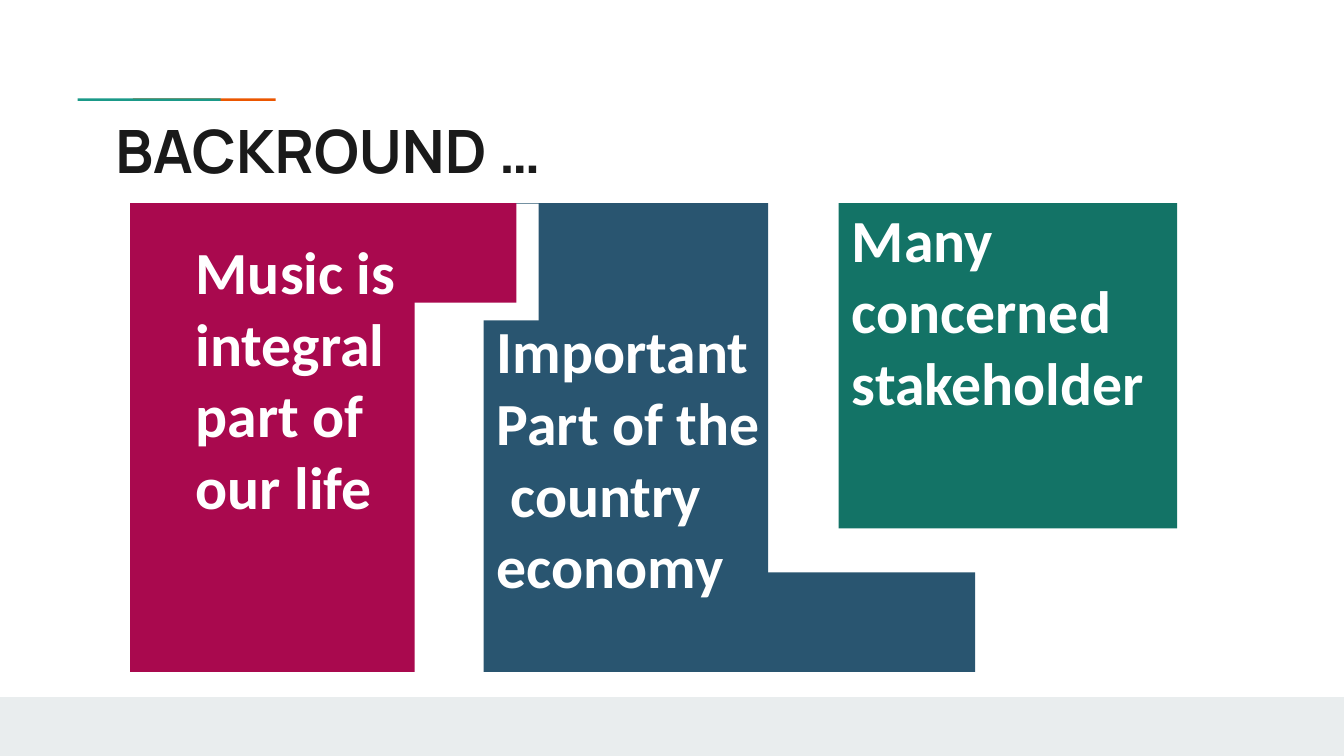
"""Build the music background slide with three coloured panels."""
import pptx
import pptx.dml.color
import pptx.enum.shapes
import pptx.enum.text
import pptx.util

Cm = pptx.util.Cm
RGBColor = pptx.dml.color.RGBColor

WHITE = RGBColor(0xFF, 0xFF, 0xFF)
INK = RGBColor(0x1A, 0x1A, 0x1A)
FOOTER_GREY = RGBColor(0xE9, 0xED, 0xEE)
ORANGE = RGBColor(0xEB, 0x56, 0x00)
TEAL = RGBColor(0x1A, 0x99, 0x88)
BLUE = RGBColor(0x29, 0x55, 0x70)
CRIMSON = RGBColor(0xA9, 0x09, 0x4E)
GREEN = RGBColor(0x13, 0x73, 0x66)

PANEL_TOP = 3.84
PANEL_WIDTH = 5.38
PANEL_HEIGHT = 8.86
ARM_HEIGHT = 1.88

presentation = pptx.Presentation()
presentation.slide_width = Cm(25.4)
presentation.slide_height = Cm(14.29)
slide = presentation.slides.add_slide(presentation.slide_layouts[6])

rectangles = [
    (0, 13.18, 25.4, 1.11, FOOTER_GREY),
    (2.51, 1.86, 2.7, 0.05, ORANGE),
    (1.47, 1.86, 2.7, 0.05, TEAL),
    (9.14, PANEL_TOP, PANEL_WIDTH, PANEL_HEIGHT, BLUE),
    (3.3, 3.85, 6.88, 2.21, WHITE),
    (2.46, PANEL_TOP, PANEL_WIDTH, PANEL_HEIGHT, CRIMSON),
    (11.11, PANEL_TOP + PANEL_HEIGHT - ARM_HEIGHT, 7.32, ARM_HEIGHT, BLUE),
    (15.85, PANEL_TOP, 6.4, 6.15, GREEN),
    (2.88, PANEL_TOP, 6.88, ARM_HEIGHT, CRIMSON),
]
for left, top, width, height, color in rectangles:
    shape = slide.shapes.add_shape(
        pptx.enum.shapes.MSO_SHAPE.RECTANGLE, Cm(left), Cm(top), Cm(width), Cm(height)
    )
    shape.shadow.inherit = False
    shape.fill.solid()
    shape.fill.fore_color.rgb = color
    shape.line.fill.background()

texts = [
    (1.93, 1.9, 9.19, 1.32, "BACKROUND …", "Manrope", INK),
    (9.14, 5.69, 5.56, 5.11, "Important\nPart of the\v country economy", "Calibri", WHITE),
    (15.85, 3.58, 6.4, 5.11, "Many concerned stakeholder", "Calibri", WHITE),
    (3.45, 4.19, 4.7, 5.11, "Music is integral part of our life", "Calibri", WHITE),
]
for left, top, width, height, text, font_name, color in texts:
    text_box = slide.shapes.add_textbox(Cm(left), Cm(top), Cm(width), Cm(height))
    text_frame = text_box.text_frame
    text_frame.word_wrap = True
    text_frame.vertical_anchor = pptx.enum.text.MSO_ANCHOR.TOP
    text_frame.margin_left = text_frame.margin_right = Cm(0.25)
    text_frame.margin_top = text_frame.margin_bottom = Cm(0.25)
    text_frame.text = text
    for paragraph in text_frame.paragraphs:
        for run in paragraph.runs:
            run.font.name = font_name
            run.font.size = pptx.util.Pt(32)
            run.font.bold = True
            run.font.color.rgb = color

presentation.save("out.pptx")
